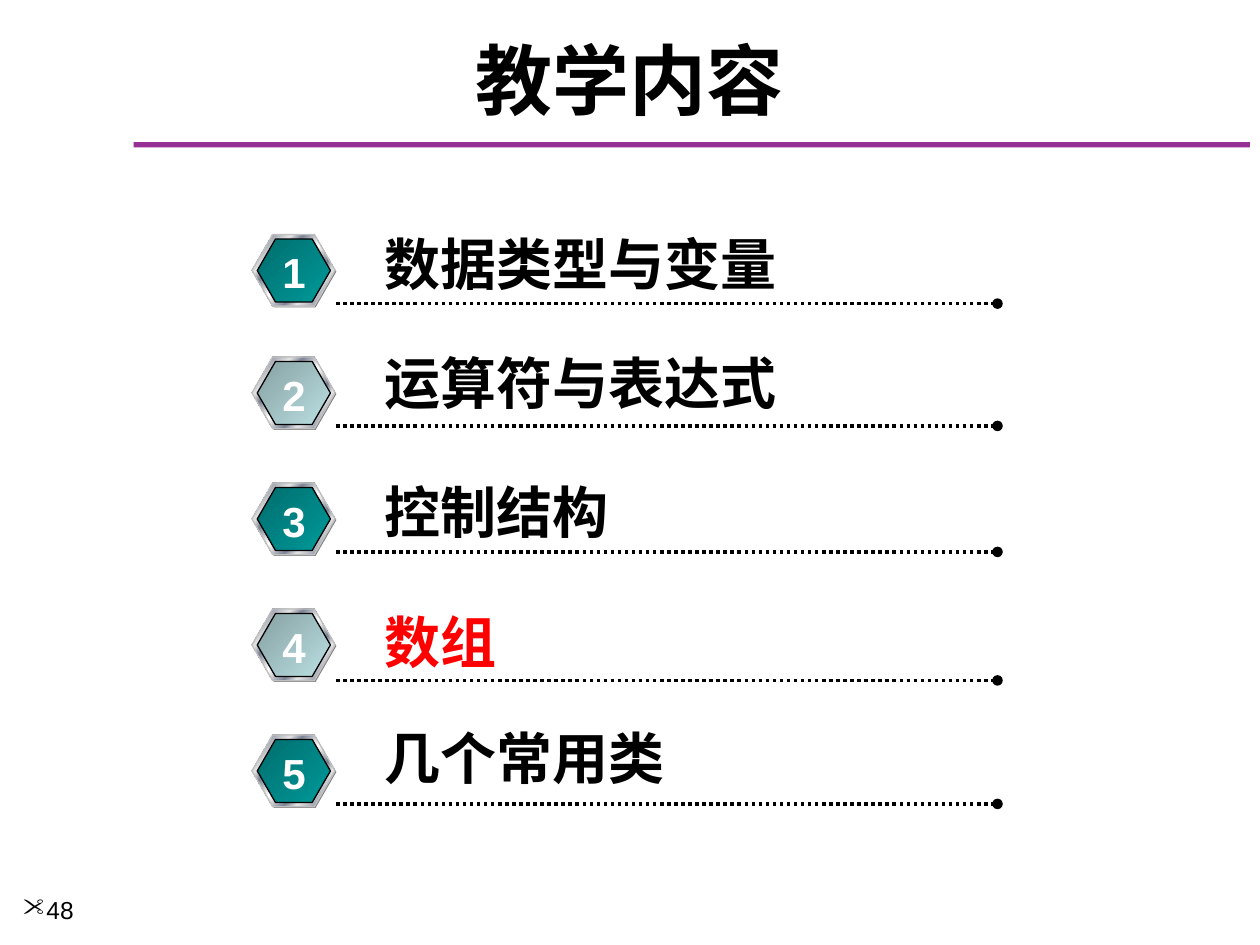
from lxml import etree
from pptx import Presentation
from pptx.dml.color import RGBColor
from pptx.enum.dml import MSO_LINE
from pptx.enum.shapes import MSO_CONNECTOR, MSO_SHAPE
from pptx.enum.text import MSO_ANCHOR, MSO_AUTO_SIZE, PP_ALIGN
from pptx.oxml.ns import qn
from pptx.util import Pt

RECT = MSO_SHAPE.RECTANGLE
HEX = MSO_SHAPE.HEXAGON
STRAIGHT = MSO_CONNECTOR.STRAIGHT
DOTS = MSO_LINE.ROUND_DOT
LEFT = PP_ALIGN.LEFT
CENTER = PP_ALIGN.CENTER
TOP = MSO_ANCHOR.TOP
MIDDLE = MSO_ANCHOR.MIDDLE
NO_FIT = MSO_AUTO_SIZE.NONE

BLACK = RGBColor(0, 0, 0)
WHITE = RGBColor(255, 255, 255)
RED = RGBColor(255, 0, 0)
PURPLE = RGBColor(0x97, 0x30, 0x95)
GRAY = RGBColor(0x80, 0x80, 0x80)
SILVER = RGBColor(0xC0, 0xC0, 0xC0)
PALE = RGBColor(0xE6, 0xE6, 0xE6)
STEEL = RGBColor(0x7D, 0x84, 0x96)
TEAL = [(0, RGBColor(0, 0x6D, 0x6D)), (100, RGBColor(0, 0x99, 0x99))]
MIST = [(0, RGBColor(0x86, 0xA0, 0xA2)), (100, RGBColor(0xBB, 0xE0, 0xE3))]
CHROME = [(0, PALE), (8, STEEL), (26, PALE), (34, STEEL), (46, PALE), (50, WHITE),
          (54, PALE), (66, STEEL), (74, PALE), (92, STEEL), (100, PALE)]

LATIN = "Arial"
HAN = "Noto Sans CJK SC"

ROWS = [
    ("数据类型与变量", BLACK, 134, 127.4, 242, 173.5),
    ("运算符与表达式", BLACK, 204, 195.8, 250, 243.4),
    ("控制结构", BLACK, 276, 269.3, 144, 315.4),
    ("数组", RED, 348, 343.4, 79, 388.8),
    ("几个常用类", BLACK, 420, 409.7, 176, 459.4),
]


def set_font(para, size, color, bold=True, face=LATIN):
    font = para.font
    font.name, font.size, font.bold = face, Pt(size), bold
    font.color.rgb = color
    props = para._p.pPr.find(qn("a:defRPr"))
    etree.SubElement(props, qn("a:ea")).set("typeface", HAN)


def add_text(shapes, text, x, y, w, h, size, color, align=LEFT, bold=True, mark=None):
    box = shapes.add_textbox(Pt(x), Pt(y), Pt(w), Pt(h))
    frame = box.text_frame
    frame.word_wrap = False
    frame.auto_size = NO_FIT
    frame.vertical_anchor = TOP
    para = frame.paragraphs[0]
    para.text = text
    para.alignment = align
    if mark:
        props = para._p.get_or_add_pPr()
        etree.SubElement(props, qn("a:buFont")).set("typeface", "Wingdings")
        etree.SubElement(props, qn("a:buChar")).set("char", mark)
    set_font(para, size, color, bold)


def add_block(shapes, kind, x, y, w, h, color):
    block = shapes.add_shape(kind, Pt(x), Pt(y), Pt(w), Pt(h))
    block.shadow.inherit = False
    block.fill.solid()
    block.fill.fore_color.rgb = color
    block.line.fill.background()
    return block


def add_hex(shapes, x, y, w, h, color):
    block = add_block(shapes, HEX, x, y, w, h, color)
    block.adjustments[0] = 0.289
    return block


def shade(block, stops, edge):
    block.fill.gradient()
    block.fill.gradient_angle = 315
    stop_list = block._element.spPr.find(qn("a:gradFill")).find(qn("a:gsLst"))
    for old in list(stop_list):
        stop_list.remove(old)
    for place, color in stops:
        stop = etree.SubElement(stop_list, qn("a:gs"), pos=str(place * 1000))
        etree.SubElement(stop, qn("a:srgbClr"), val=str(color))
    block.line.color.rgb = edge
    block.line.width = Pt(0.75)


def add_badge(slide, number, y, stops):
    shapes = slide.shapes.add_group_shape().shapes
    add_hex(shapes, 144.7, y + 0.7, 47.5, 41, GRAY)
    shade(add_hex(shapes, 144, y, 47.5, 41, GRAY), CHROME, SILVER)
    shade(add_hex(shapes, 147, y + 2.6, 41.8, 36, GRAY), stops, BLACK)
    add_text(shapes, str(number), 154, y + 3.5, 28, 36, 24, WHITE, CENTER)


def add_rule(slide, y):
    rule = slide.shapes.add_connector(STRAIGHT, Pt(192), Pt(y), Pt(570), Pt(y))
    rule.line.color.rgb = BLACK
    rule.line.width = Pt(2)
    rule.line.dash_style = DOTS
    props = rule._element.spPr
    etree.SubElement(props.find(qn("a:ln")), qn("a:tailEnd"), type="oval")
    etree.SubElement(props, qn("a:effectLst"))


def set_title(slide, text):
    title = slide.shapes.title
    title.left, title.top, title.width, title.height = Pt(12), Pt(18), Pt(696), Pt(54)
    frame = title.text_frame
    frame.text = text
    frame.vertical_anchor = MIDDLE
    frame.auto_size = NO_FIT
    para = frame.paragraphs[0]
    para.alignment = CENTER
    set_font(para, 44, BLACK, face=HAN)


def main():
    deck = Presentation()
    deck.slide_width, deck.slide_height = Pt(720), Pt(540)
    slide = deck.slides.add_slide(deck.slide_layouts[5])
    add_block(slide.shapes, RECT, 76.3, 81.2, 638, 3, PURPLE)
    set_title(slide, "教学内容")
    add_text(slide.shapes, "48", 6, 508, 78, 32, 14, BLACK, bold=False, mark='"')
    for number, (label, color, badge, top, width, base) in enumerate(ROWS, 1):
        add_rule(slide, base)
        add_text(slide.shapes, label, 212.5, top, width, 46, 32, color)
        add_badge(slide, number, badge, TEAL if number % 2 else MIST)
    deck.save("out.pptx")


if __name__ == "__main__":
    main()
